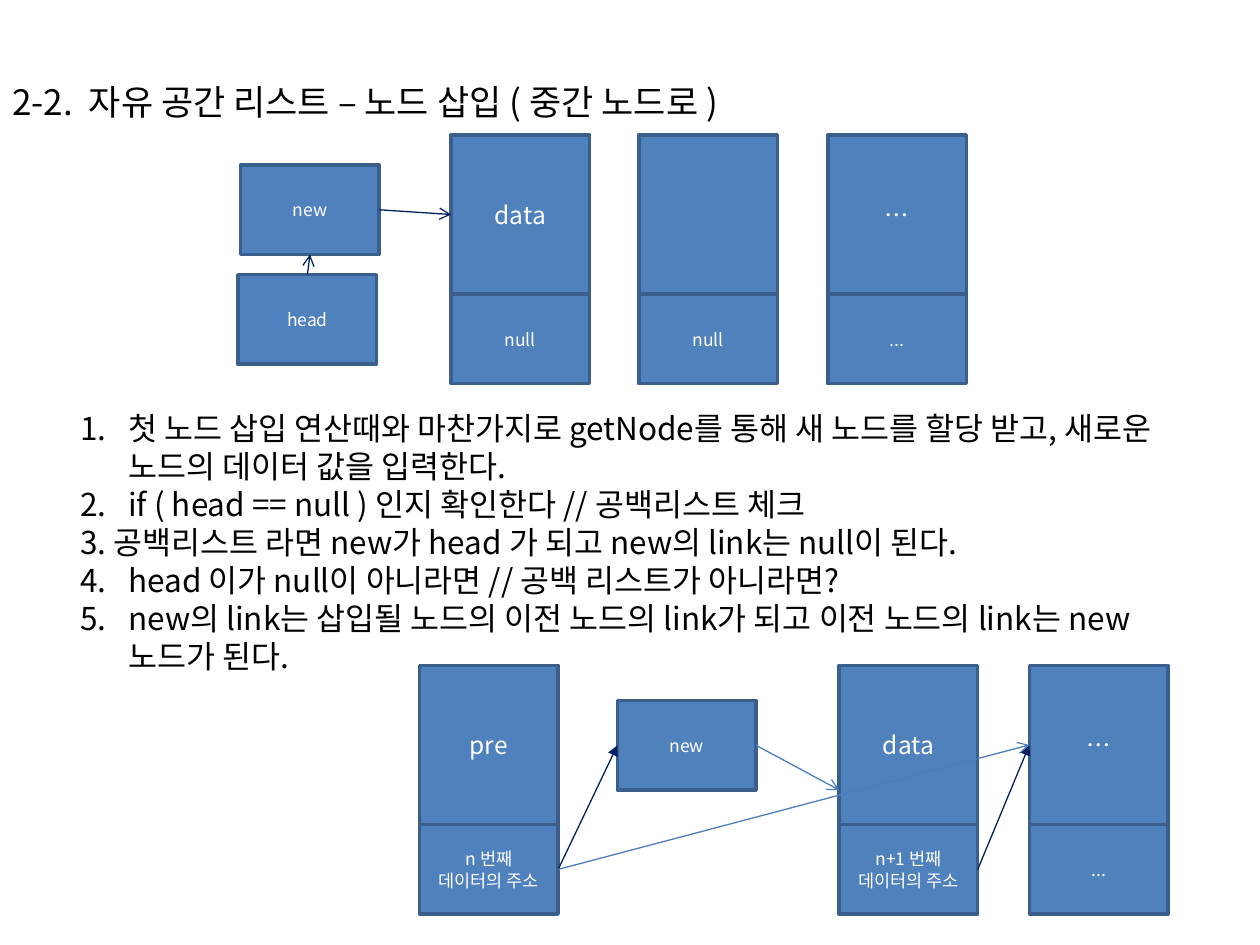
from dataclasses import dataclass

from lxml import etree
from pptx import Presentation, util as u
from pptx.dml.color import RGBColor
from pptx.enum import shapes, text
from pptx.oxml.ns import qn

TOP, LEFT, BOTTOM, RIGHT = range(4)


@dataclass(frozen=True)
class Theme:
    font: str = "Noto Sans CJK KR"
    ink: str = "000000"
    paper: str = "FFFFFF"
    box: str = "4F81BD"
    edge: str = "3A5F8C"
    navy: str = "002060"
    blue: str = "4B7EBC"
    title: float = 20
    body: float = 18
    data: float = 14
    label: float = 10
    leading: float = 1.21
    edge_width: float = 2
    link_width: float = 0.75


class Board:
    COLUMNS, ROWS = 100, 75
    NODE_WIDTH, DATA_HEIGHT, LINK_HEIGHT = 11, 12.65, 7.1

    def __init__(self, deck, theme):
        self.theme = theme
        self.cell_width = deck.slide_width / self.COLUMNS
        self.cell_height = deck.slide_height / self.ROWS
        self.slide = deck.slides.add_slide(deck.slide_layouts[6])

    def place(self, column, row, width, height):
        return (int(column * self.cell_width), int(row * self.cell_height),
                int(width * self.cell_width), int(height * self.cell_height))

    def letter(self, paragraph, words, size, color):
        paragraph.text = words
        paragraph.line_spacing = u.Pt(round(size * self.theme.leading, 1))
        font = paragraph.font
        font.name, font.size = self.theme.font, u.Pt(size)
        font.color.rgb = RGBColor.from_string(color)
        defaults = paragraph._p.pPr.find(qn("a:defRPr"))
        etree.SubElement(defaults, qn("a:ea"), typeface=self.theme.font)

    def number(self, paragraph, start):
        properties = paragraph._p.pPr
        indent = u.Inches(0.38)
        properties.set("marL", str(indent))
        properties.set("indent", str(-indent))
        bullet = etree.Element(qn("a:buAutoNum"), type="arabicPeriod")
        if start > 1:
            bullet.set("startAt", str(start))
        properties.find(qn("a:defRPr")).addprevious(bullet)

    def text_area(self, *area):
        frame = self.slide.shapes.add_textbox(*self.place(*area)).text_frame
        frame.word_wrap = True
        return frame

    def title(self, words, *area):
        frame = self.text_area(*area)
        frame.vertical_anchor = text.MSO_ANCHOR.MIDDLE
        self.letter(frame.paragraphs[0], words, self.theme.title, self.theme.ink)

    def steps(self, items, *area):
        frame = self.text_area(*area)
        for index, (start, words) in enumerate(items):
            paragraph = frame.add_paragraph() if index else frame.paragraphs[0]
            self.letter(paragraph, words, self.theme.body, self.theme.ink)
            if start:
                self.number(paragraph, start)

    def box(self, words, size, column, row, height):
        area = self.place(column, row, self.NODE_WIDTH, height)
        box = self.slide.shapes.add_shape(shapes.MSO_SHAPE.RECTANGLE, *area)
        box.shadow.inherit = False
        box.fill.solid()
        box.fill.fore_color.rgb = RGBColor.from_string(self.theme.box)
        box.line.color.rgb = RGBColor.from_string(self.theme.edge)
        box.line.width = u.Pt(self.theme.edge_width)
        if words:
            box.text_frame.vertical_anchor = text.MSO_ANCHOR.MIDDLE
            paragraph = box.text_frame.paragraphs[0]
            self.letter(paragraph, words, size, self.theme.paper)
            paragraph.alignment = text.PP_ALIGN.CENTER
        return box

    def pointer(self, words, column, row):
        return self.box(words, self.theme.label, column, row, self.LINK_HEIGHT)

    def node(self, data, link, column, row):
        return (self.box(data, self.theme.data, column, row, self.DATA_HEIGHT),
                self.pointer(link, column, row + self.DATA_HEIGHT))

    def link(self, source, target, color, head="arrow", sides=(RIGHT, LEFT), end_row=None):
        end_y = int((end_row or 0) * self.cell_height)
        line = self.slide.shapes.add_connector(
            shapes.MSO_CONNECTOR.STRAIGHT, 0, 0, target.left, end_y)
        line.begin_connect(source, sides[0])
        if end_row is None:
            line.end_connect(target, sides[1])
        line.line.color.rgb = RGBColor.from_string(color)
        line.line.width = u.Pt(self.theme.link_width)
        properties = line._element.spPr
        etree.SubElement(properties.find(qn("a:ln")), qn("a:tailEnd"), type=head)
        etree.SubElement(properties, qn("a:effectLst"))


def main():
    deck = Presentation()
    deck.slide_width, deck.slide_height = u.Inches(10), u.Inches(7.5)
    theme = Theme()
    board = Board(deck, theme)

    board.title("2-2.  자유 공간 리스트 – 노드 삽입 ( 중간 노드로 )", 0, 0, 100, 16.1)

    free_row = 10.7
    first_data, _ = board.node("data", "null", 35.8, free_row)
    board.node("", "null", 50.7, free_row)
    board.node("…", "...", 65.7, free_row)
    new = board.pointer("new", 19.1, 13.1)
    board.link(new, first_data, theme.navy)

    board.steps([
        (1, "첫 노드 삽입 연산때와 마찬가지로 getNode를 통해 새 노드를 할당 받고, "
            "새로운 노드의 데이터 값을 입력한다."),
        (1, "if ( head == null ) 인지 확인한다 // 공백리스트 체크"),
        (None, "3. 공백리스트 라면 new가 head 가 되고 new의 link는 null이 된다."),
        (4, "head 이가 null이 아니라면 // 공백 리스트가 아니라면?"),
        (4, "new의 link는 삽입될 노드의 이전 노드의 link가 되고 "
            "이전 노드의 link는 new노드가 된다."),
    ], 5.4, 31.9, 89.1, 22.2)

    head = board.pointer("head", 18.9, 21.8)
    board.link(head, new, theme.navy, sides=(TOP, BOTTOM))

    insert_row = 52.8
    _, pre_link = board.node("pre", "n 번째 데이터의 주소", 33.3, insert_row)
    next_data, next_link = board.node("data", "n+1 번째 데이터의 주소", 66.6, insert_row)
    rest_data, _ = board.node("…", "...", 81.7, insert_row)
    inserted = board.pointer("new", 49, 55.6)
    board.link(pre_link, inserted, theme.navy, "triangle")
    board.link(next_link, rest_data, theme.navy, "triangle")
    board.link(inserted, next_data, theme.blue, end_row=62.7)
    board.link(pre_link, rest_data, theme.blue)

    deck.save("out.pptx")


if __name__ == "__main__":
    main()
